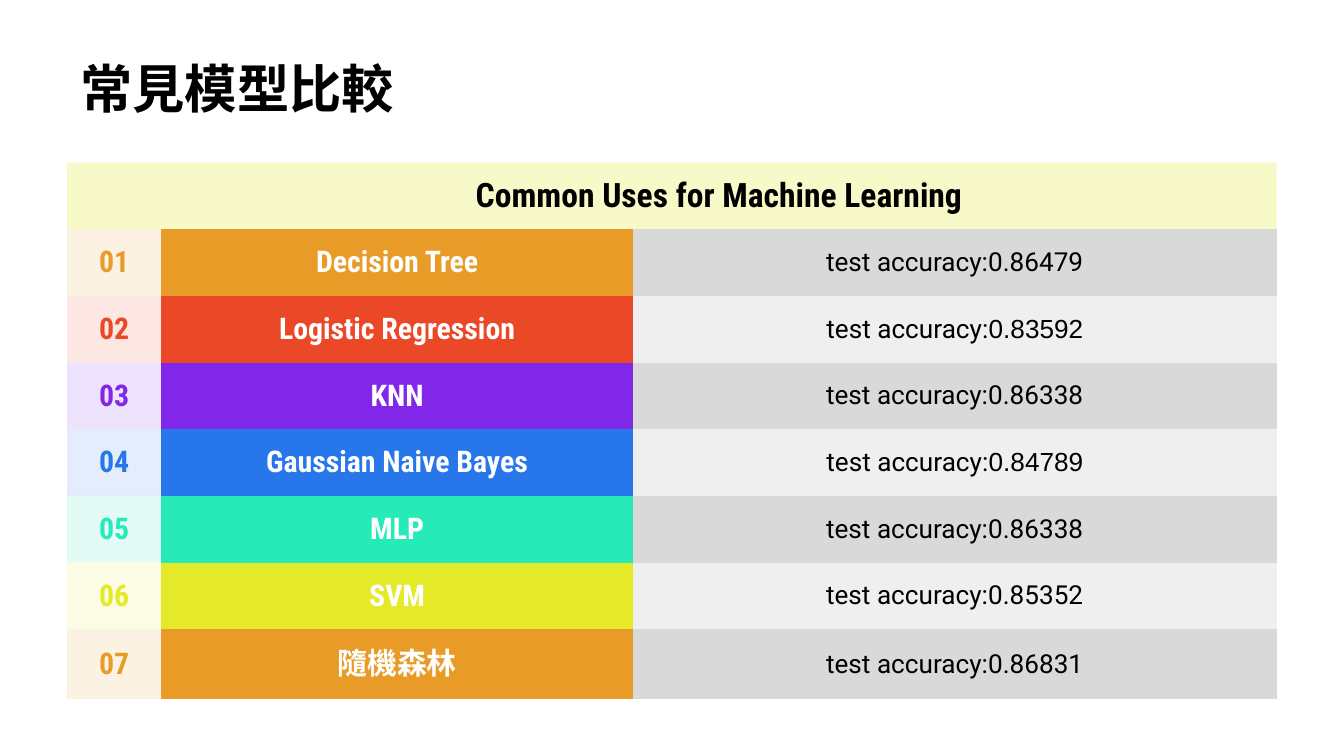
import dataclasses
import typing

import pptx
import pptx.dml.color
import pptx.enum.text
import pptx.oxml.ns
import pptx.util
from lxml import etree

Inch = pptx.util.Inches
Align = pptx.enum.text.PP_ALIGN
MIDDLE = pptx.enum.text.MSO_ANCHOR.MIDDLE
qn = pptx.oxml.ns.qn


# Colours, fonts and type sizes
@dataclasses.dataclass(frozen=True)
class Theme:
    black: str = "000000"
    white: str = "FFFFFF"
    orange: str = "E99B27"
    red: str = "EA4827"
    purple: str = "8027EA"
    blue: str = "2776EA"
    mint: str = "26EAB8"
    yellow: str = "E4EA27"
    grays: tuple = ("D9D9D9", "EFEFEF")
    head: str = "Roboto Condensed"
    body: str = "Roboto"
    plain: str = "Arial"
    title: int = 28
    large: int = 18
    label: int = 16
    small: int = 14
    tint: int = 13
    wash: int = 25


T = Theme()


class Run(typing.NamedTuple):
    text: str
    size: int
    color: str
    font: str = T.head
    bold: bool = True


class Model(typing.NamedTuple):
    name: str
    score: str
    color: str
    font: str = T.body  # font of the score


MODELS = [
    Model("Decision Tree", "0.86479", T.orange),
    Model("Logistic Regression", "0.83592", T.red, T.plain),
    Model("KNN", "0.86338", T.purple),
    Model("Gaussian Naive Bayes", "0.84789", T.blue, T.plain),
    Model("MLP", "0.86338", T.mint),
    Model("SVM", "0.85352", T.yellow),
    Model("隨機森林", "0.86831", T.orange),
]

# Grid, in inches, on a 16:9 slide
WIDE = 10
HIGH = WIDE * 9 / 16
LEFT, TOP = 0.05 * WIDE, 1.21
SPAN = 0.9 * WIDE
COLS = (0.7, 3.51, 4.79)
ROWS = (3.97 / 8,) * len(MODELS) + (0.52,)
PAD = Inch(0.1)
NO_STYLE = "{2D5ABB26-0587-4C30-8999-92F81FD0307C}"
INSET = {"vertical_anchor": MIDDLE, "margin_left": PAD, "margin_right": PAD,
         "margin_top": PAD, "margin_bottom": PAD}


def style(item, form: dict) -> None:
    """Set attributes from a dict of format values."""
    for key, value in form.items():
        setattr(item, key, value)


def write(frame, runs: typing.Sequence[Run], align) -> None:
    """Put formatted runs in the first paragraph of a text frame."""
    para = frame.paragraphs[0]
    para.alignment = align
    for item in runs:
        run = para.add_run()
        run.text = item.text
        style(run.font, {"size": pptx.util.Pt(item.size), "bold": item.bold,
                         "name": item.font})
        run.font.color.rgb = pptx.dml.color.RGBColor.from_string(item.color)
        etree.SubElement(run.font._element, qn("a:ea")).set("typeface", item.font)


def paint(cell, color: str, alpha: int = 100) -> None:
    """Fill a cell, with opacity in percent."""
    cell.fill.solid()
    cell.fill.fore_color.rgb = pptx.dml.color.RGBColor.from_string(color)
    if alpha < 100:
        tone = cell._tc.tcPr.find(".//" + qn("a:srgbClr"))
        etree.SubElement(tone, qn("a:alpha")).set("val", str(alpha * 1000))


def fill(cell, runs: typing.Sequence[Run], color: str, alpha: int = 100) -> None:
    """Fill a cell and centre its text."""
    style(cell, INSET)
    paint(cell, color, alpha)
    write(cell.text_frame, runs, Align.CENTER)


def head(slide) -> None:
    """Move and format the title placeholder."""
    title = slide.shapes.title
    style(title, {"left": Inch(LEFT), "top": Inch(0.45),
                  "width": Inch(SPAN), "height": Inch(0.41)})
    style(title.text_frame, {**INSET, "word_wrap": True,
                             "auto_size": pptx.enum.text.MSO_AUTO_SIZE.NONE})
    write(title.text_frame, [Run("常見模型比較", T.title, T.black)], Align.LEFT)


def grid(slide) -> None:
    """Draw the table of models and their accuracy."""
    table = slide.shapes.add_table(
        len(ROWS), len(COLS), Inch(LEFT), Inch(TOP), Inch(SPAN), Inch(sum(ROWS))
    ).table
    style(table, {"first_row": False, "horz_banding": False})
    table._tbl.tblPr.find(qn("a:tableStyleId")).text = NO_STYLE
    for col, size in zip(table.columns, COLS):
        col.width = Inch(size)
    for row, size in zip(table.rows, ROWS):
        row.height = Inch(size)

    # Header row
    table.cell(0, 1).merge(table.cell(0, 2))
    paint(table.cell(0, 0), T.yellow, T.wash)
    fill(table.cell(0, 1),
         [Run("Common Uses for Machine Learning", T.large, T.black)],
         T.yellow, T.wash)

    # One row per model
    for row, model in enumerate(MODELS, 1):
        fill(table.cell(row, 0), [Run(f"{row:02}", T.label, model.color)],
             model.color, T.tint)
        fill(table.cell(row, 1), [Run(model.name, T.label, T.white)], model.color)
        fill(table.cell(row, 2),
             [Run("test accuracy:", T.small, T.black, T.body, False),
              Run(model.score, T.small, T.black, model.font, False)],
             T.grays[(row - 1) % 2])


def main() -> None:
    deck = pptx.Presentation()
    deck.slide_width, deck.slide_height = Inch(WIDE), Inch(HIGH)
    slide = deck.slides.add_slide(deck.slide_layouts[5])
    head(slide)
    grid(slide)
    deck.save("out.pptx")


if __name__ == "__main__":
    main()
